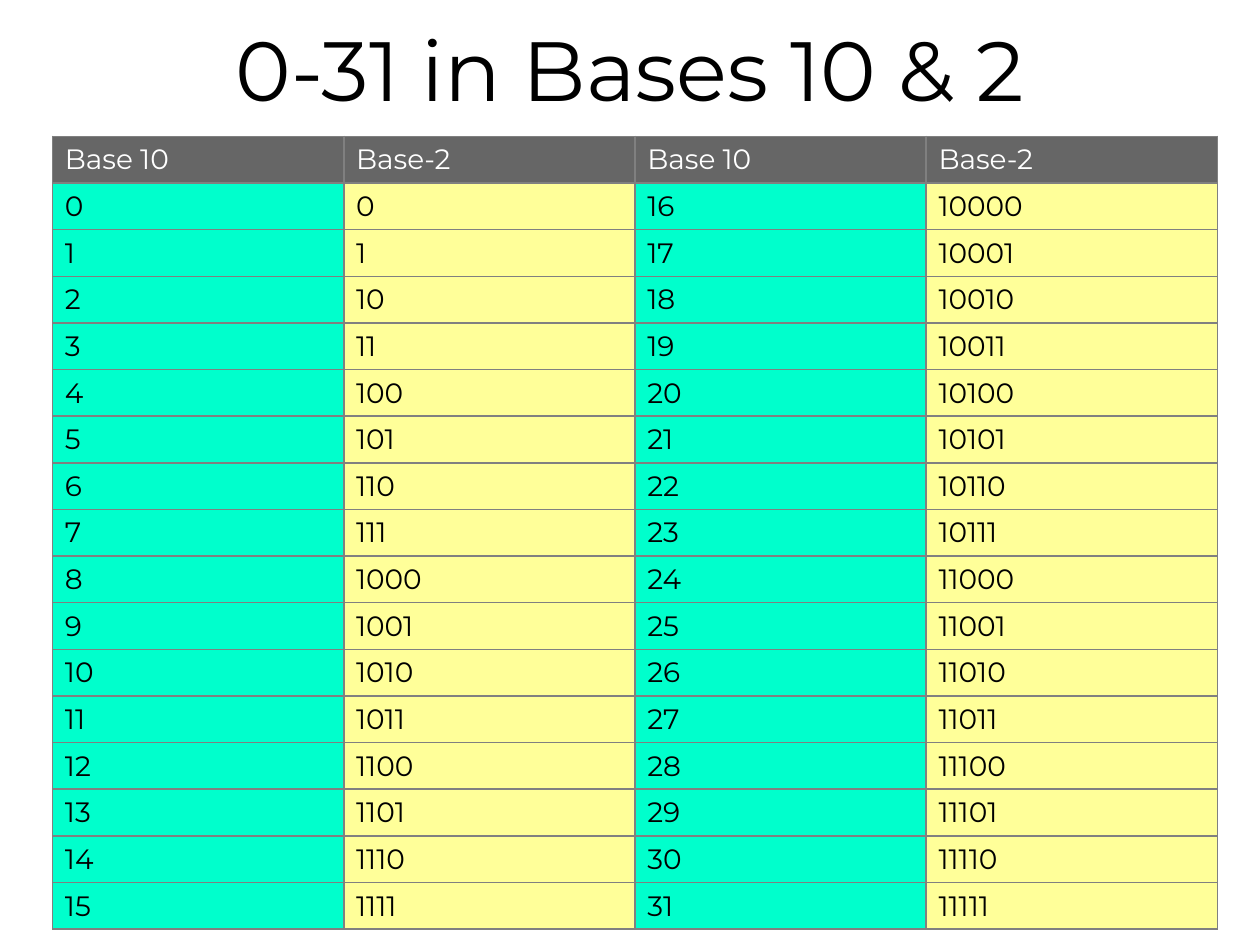
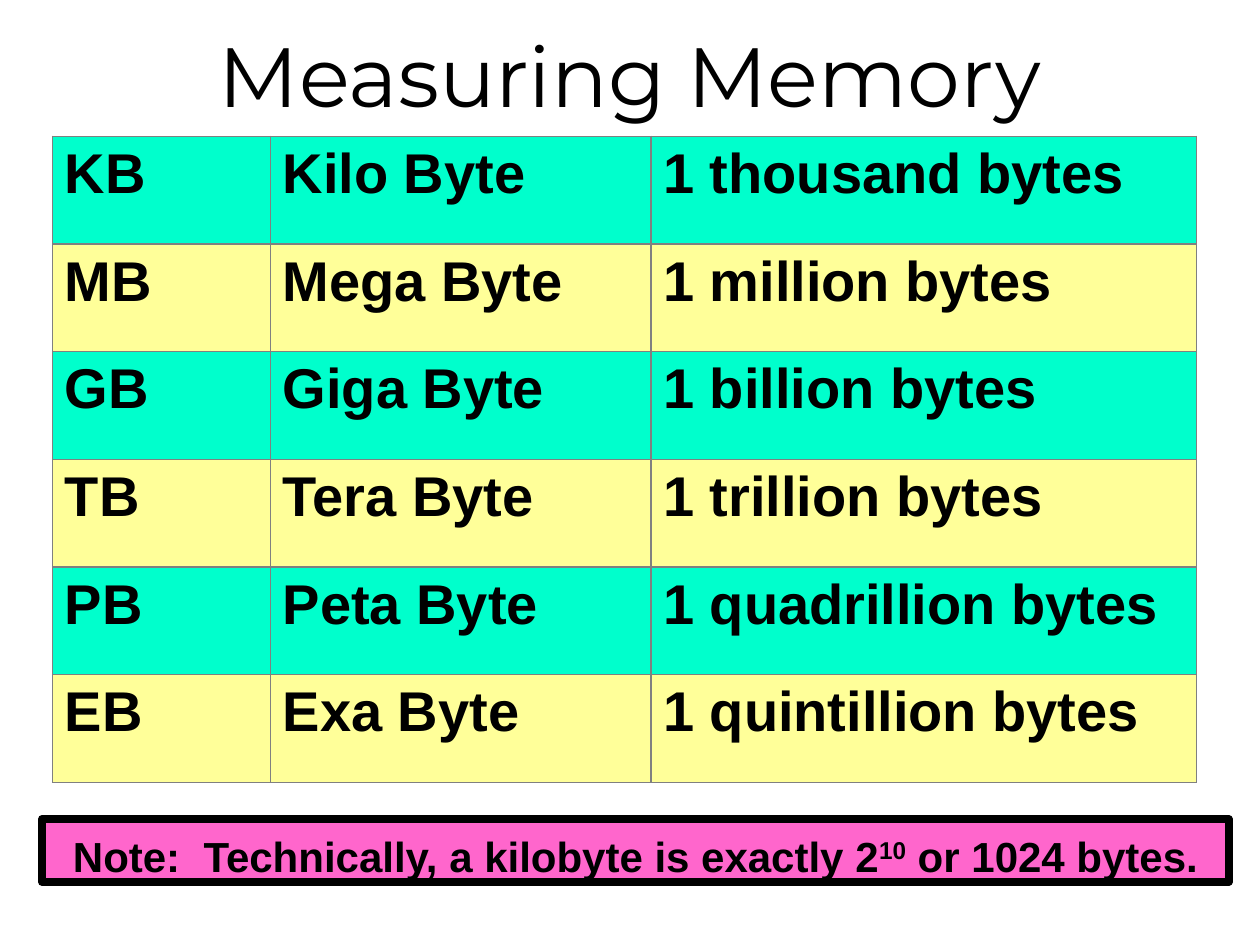
from lxml.etree import SubElement
from pptx import Presentation
from pptx.dml.color import RGBColor
from pptx.enum.shapes import MSO_SHAPE
from pptx.enum.text import MSO_ANCHOR, PP_ALIGN
from pptx.oxml.ns import qn
from pptx.util import Cm, Pt

# Content
BASES_TITLE = "0-31 in Bases 10 & 2"
BASES_HEADER = ("Base 10", "Base-2") * 2
HALF = 16
BASES_ROWS = [
    (f"{number}", f"{number:b}", f"{number + HALF}", f"{number + HALF:b}")
    for number in range(HALF)
]

MEMORY_TITLE = "Measuring Memory"
MEMORY_UNITS = [
    ("KB", "Kilo", "thousand"),
    ("MB", "Mega", "million"),
    ("GB", "Giga", "billion"),
    ("TB", "Tera", "trillion"),
    ("PB", "Peta", "quadrillion"),
    ("EB", "Exa", "quintillion"),
]
MEMORY_ROWS = [
    (symbol, f"{prefix} Byte", f"1 {amount} bytes")
    for symbol, prefix, amount in MEMORY_UNITS
]
# Each part of the note: text, raised or not
NOTE = [
    ("Note:  Technically, a kilobyte is exactly 2", False),
    ("10", True),
    (" or 1024 bytes.", False),
]


class Theme:
    """Colours, type styles and measures shared by the slides."""

    black = RGBColor(0, 0, 0)
    white = RGBColor(255, 255, 255)
    header = RGBColor(0x66, 0x66, 0x66)
    green = RGBColor(0x00, 0xFF, 0xCC)
    yellow = RGBColor(0xFF, 0xFF, 0x99)
    pink = RGBColor(0xFF, 0x66, 0xCC)
    border = "808080"

    title = {"name": "Montserrat", "size": Pt(48), "bold": False, "color": black}
    number = {"name": "Montserrat", "size": Pt(16), "bold": False, "color": black}
    heading = {**number, "color": white}
    unit = {"name": "Arial", "size": Pt(32), "bold": True, "color": black}
    note = {**unit, "size": Pt(24)}

    width, height = Cm(25.4), Cm(19.05)
    table_left, table_top = Cm(1.06), Cm(2.75)
    padding = {
        "margin_left": Cm(0.25), "margin_right": Cm(0.25),
        "margin_top": Cm(0.13), "margin_bottom": Cm(0.13),
    }


def set_attributes(target, values):
    """Set every attribute in a dict of format values."""
    for name, value in values.items():
        setattr(target, name, value)


def add_run(paragraph, text, style):
    """Add a run of text in one of the theme's type styles."""
    run = paragraph.add_run()
    run.text = text
    set_attributes(run.font, {k: v for k, v in style.items() if k != "color"})
    run.font.color.rgb = style["color"]
    return run


def add_title(slide, text, top, height):
    """Add a centred title across the whole slide."""
    frame = slide.shapes.add_textbox(0, top, Theme.width, height).text_frame
    set_attributes(frame, {
        "word_wrap": True, "vertical_anchor": MSO_ANCHOR.MIDDLE, **Theme.padding,
    })
    frame.paragraphs[0].alignment = PP_ALIGN.CENTER
    add_run(frame.paragraphs[0], text, Theme.title)


def add_borders(cell):
    """Draw a thin grey line on all four sides of a cell."""
    properties = cell._tc.get_or_add_tcPr()
    for side in ("a:lnL", "a:lnR", "a:lnT", "a:lnB"):
        line = SubElement(properties, qn(side), w=str(Pt(1)))
        fill = SubElement(line, qn("a:solidFill"))
        SubElement(fill, qn("a:srgbClr"), val=Theme.border)


def add_grid(slide, rows, column_widths, row_height, look):
    """Add a table; look(row, column) gives fill, type style and alignment."""
    table = slide.shapes.add_table(
        len(rows), len(column_widths), Theme.table_left, Theme.table_top,
        sum(column_widths), row_height * len(rows),
    ).table
    set_attributes(table, {"first_row": False, "horz_banding": False})
    for column, width in zip(table.columns, column_widths):
        column.width = width
    for row_index, texts in enumerate(rows):
        table.rows[row_index].height = row_height
        for column_index, text in enumerate(texts):
            cell = table.cell(row_index, column_index)
            fill, style, alignment = look(row_index, column_index)
            set_attributes(cell, Theme.padding)
            add_borders(cell)
            cell.fill.solid()
            cell.fill.fore_color.rgb = fill
            paragraph = cell.text_frame.paragraphs[0]
            paragraph.alignment = alignment
            add_run(paragraph, text, style)


def bases_look(row, column):
    """Grey header row, then columns in alternating colours."""
    if row == 0:
        return Theme.header, Theme.heading, PP_ALIGN.LEFT
    fill = (Theme.green, Theme.yellow)[column % 2]
    return fill, Theme.number, PP_ALIGN.JUSTIFY


def memory_look(row, column):
    """Rows in alternating colours."""
    return (Theme.green, Theme.yellow)[row % 2], Theme.unit, PP_ALIGN.JUSTIFY


def add_note(slide):
    """Add the framed note at the foot of the slide."""
    shape = slide.shapes.add_shape(
        MSO_SHAPE.RECTANGLE, Cm(0.85), Cm(16.51), Cm(23.92), Cm(1.27))
    shape.shadow.inherit = False
    shape.fill.solid()
    shape.fill.fore_color.rgb = Theme.pink
    shape.line.color.rgb = Theme.black
    shape.line.width = Pt(4.5)
    set_attributes(shape.text_frame, {
        "word_wrap": True, "vertical_anchor": MSO_ANCHOR.TOP, **Theme.padding,
    })
    paragraph = shape.text_frame.paragraphs[0]
    set_attributes(paragraph, {
        "alignment": PP_ALIGN.CENTER, "line_spacing": 1.1, "space_before": Pt(4.8),
    })
    for text, raised in NOTE:
        run = add_run(paragraph, text, Theme.note)
        if raised:
            run._r.get_or_add_rPr().set("baseline", "30000")


def build_bases(slide):
    """Build the slide of numbers in two bases."""
    add_title(slide, BASES_TITLE, Cm(0.43), Cm(1.9))
    add_grid(slide, [BASES_HEADER, *BASES_ROWS], [Cm(5.87)] * 4, Cm(0.94), bases_look)


def build_memory(slide):
    """Build the slide of memory units."""
    add_title(slide, MEMORY_TITLE, Cm(0.64), Cm(1.7))
    add_note(slide)
    widths = [Cm(4.39), Cm(7.67), Cm(11)]
    add_grid(slide, MEMORY_ROWS, widths, Cm(2.17), memory_look)


def main():
    """Build and save the presentation."""
    presentation = Presentation()
    set_attributes(presentation, {
        "slide_width": Theme.width, "slide_height": Theme.height,
    })
    for build in (build_bases, build_memory):
        build(presentation.slides.add_slide(presentation.slide_layouts[6]))
    presentation.save("out.pptx")


main()
